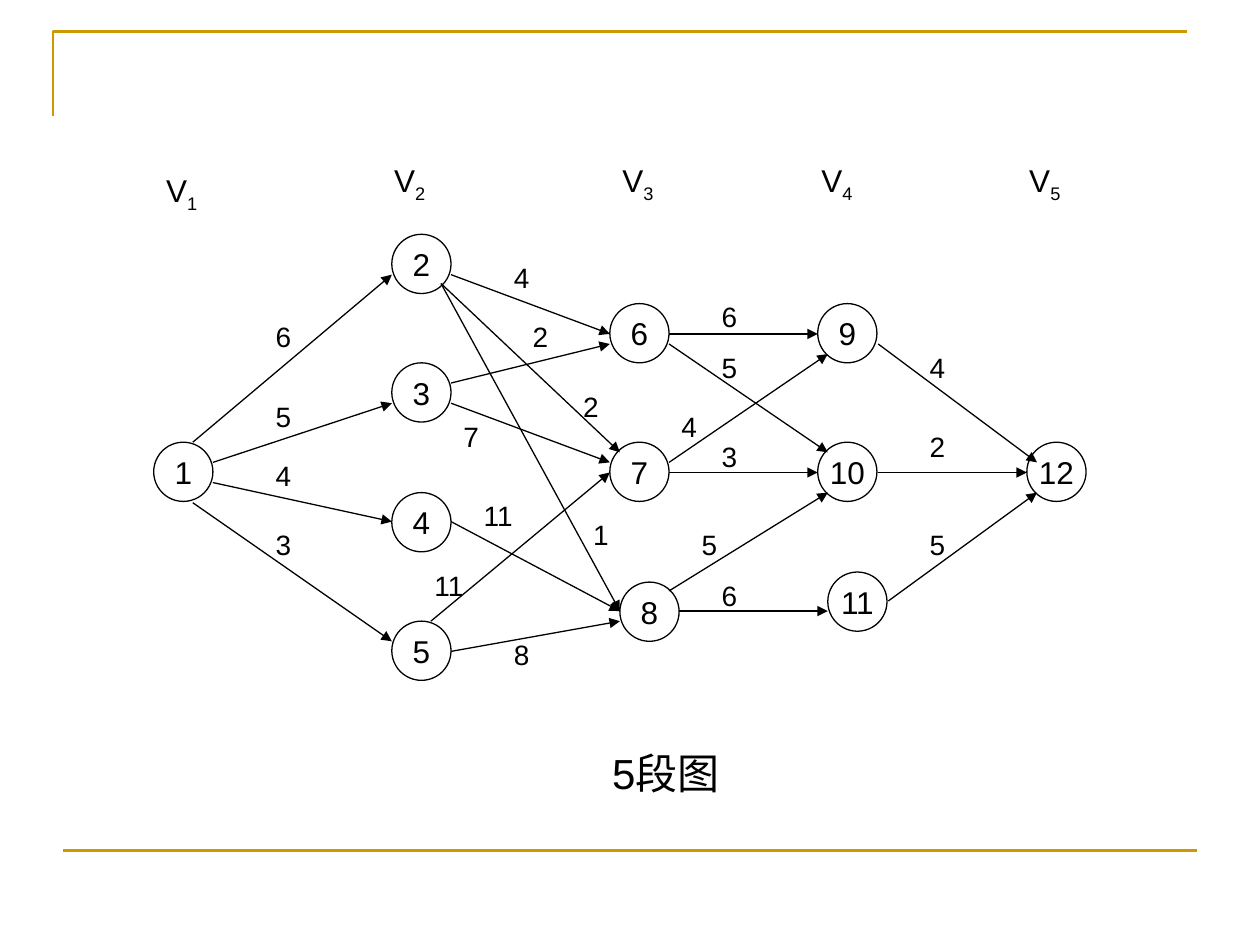
import pptx
import pptx.dml.color
import pptx.enum.shapes
import pptx.enum.text
import pptx.oxml.ns
import pptx.util
from lxml import etree
from pptx.util import Inches, Pt

BLACK = "000000"
GOLD = "CC9900"
NODE_SIZE = 0.47

# name: (left, top)
NODES = {
    "1": (1.22, 3.51),
    "2": (3.11, 1.86), "3": (3.11, 2.88), "4": (3.11, 3.91), "5": (3.11, 4.93),
    "6": (4.84, 2.41), "7": (4.84, 3.51), "8": (4.92, 4.62),
    "9": (6.49, 2.41), "10": (6.49, 3.51), "11": (6.57, 4.54),
    "12": (8.15, 3.51),
}

# start, end, weight, left and top of the weight label
EDGES = [
    ((1.53, 3.51), (3.11, 2.18), "6", (2.09, 2.49)),
    ((1.69, 3.67), (3.11, 3.20), "5", (2.09, 3.12)),
    ((1.69, 3.83), (3.11, 4.14), "4", (2.09, 3.59)),
    ((1.53, 3.99), (3.11, 5.09), "3", (2.09, 4.14)),
    ((3.50, 2.25), (4.92, 4.85), "1", (4.61, 4.06)),
    ((3.50, 2.25), (4.92, 3.59), "2", (4.53, 3.04)),
    ((3.58, 2.18), (4.84, 2.65), "4", (3.98, 2.02)),
    ((3.58, 3.04), (4.84, 2.73), "2", (4.13, 2.49)),
    ((3.58, 3.20), (4.84, 3.67), "7", (3.58, 3.28)),
    ((3.58, 4.14), (4.92, 4.85), "11", (3.74, 3.91)),
    ((3.42, 4.93), (4.84, 3.75), "11", (3.35, 4.46)),
    ((3.58, 5.17), (4.92, 4.93), "8", (3.98, 5.01)),
    ((5.31, 2.65), (6.49, 2.65), "6", (5.63, 2.33)),
    ((5.31, 2.73), (6.57, 3.59), "5", (5.63, 2.73)),
    ((5.31, 3.67), (6.57, 2.81), "4", (5.31, 3.20)),
    ((5.31, 3.75), (6.49, 3.75), "3", (5.63, 3.44)),
    ((5.31, 4.69), (6.57, 3.91), "5", (5.47, 4.14)),
    ((5.39, 4.85), (6.57, 4.85), "6", (5.63, 4.54)),
    ((6.97, 2.73), (8.23, 3.67), "4", (7.28, 2.73)),
    ((6.97, 3.75), (8.15, 3.75), "2", (7.28, 3.36)),
    ((7.05, 4.77), (8.23, 3.91), "5", (7.28, 4.14)),
]

STAGES = [(1.22, 1.31), (3.03, 1.23), (4.84, 1.23), (6.42, 1.23), (8.07, 1.23)]


def color(value):
    return pptx.dml.color.RGBColor.from_string(value)


def style_line(line, value, width):
    line.color.rgb = color(value)
    line.width = Pt(width)


def style_text(paragraph, size):
    paragraph.font.size = Pt(size)
    paragraph.font.name = "Arial"
    paragraph.font.color.rgb = color(BLACK)


def add_line(slide, start, end, value=BLACK, width=0.75, arrow=False):
    connector = slide.shapes.add_connector(
        pptx.enum.shapes.MSO_CONNECTOR.STRAIGHT,
        *(Inches(position) for position in start + end))
    style_line(connector.line, value, width)
    if arrow:
        etree.SubElement(connector.line._get_or_add_ln(),
                         pptx.oxml.ns.qn("a:tailEnd"), type="triangle")
    etree.SubElement(connector._element.spPr, pptx.oxml.ns.qn("a:effectLst"))


def add_corner(slide):
    """Draw the open frame at the top left of the slide."""
    builder = slide.shapes.build_freeform(Inches(0.42), Inches(0.92))
    builder.add_line_segments(
        [(Inches(0.42), Inches(0.25)), (Inches(9.42), Inches(0.25))], close=False)
    corner = builder.convert_to_shape()
    corner.shadow.inherit = False
    corner.fill.background()
    style_line(corner.line, GOLD, 1.5)


def add_node(slide, name, left, top):
    node = slide.shapes.add_shape(
        pptx.enum.shapes.MSO_SHAPE.OVAL,
        Inches(left), Inches(top), Inches(NODE_SIZE), Inches(NODE_SIZE))
    node.shadow.inherit = False
    node.fill.background()
    style_line(node.line, BLACK, 0.75)
    frame = node.text_frame
    frame.word_wrap = False
    frame.vertical_anchor = pptx.enum.text.MSO_ANCHOR.MIDDLE
    paragraph = frame.paragraphs[0]
    paragraph.text = name
    paragraph.alignment = pptx.enum.text.PP_ALIGN.CENTER
    style_text(paragraph, 18)


def add_label(slide, text, position, width, height, size, subscript=None):
    left, top = position
    box = slide.shapes.add_textbox(
        Inches(left), Inches(top), Inches(width), Inches(height))
    box.text_frame.word_wrap = True
    paragraph = box.text_frame.paragraphs[0]
    paragraph.text = text
    style_text(paragraph, size)
    if subscript:
        run = paragraph.add_run()
        run.text = subscript
        run.font._element.set("baseline", "-25000")


def main():
    presentation = pptx.Presentation()
    presentation.slide_width = Inches(10)
    presentation.slide_height = Inches(7.5)
    slide = presentation.slides.add_slide(presentation.slide_layouts[6])

    add_corner(slide)
    add_line(slide, (0.5, 6.75), (9.5, 6.75), GOLD, 1.5)
    for name, (left, top) in NODES.items():
        add_node(slide, name, left, top)
    for start, end, _, _ in EDGES:
        add_line(slide, start, end, arrow=True)
    for _, _, weight, position in EDGES:
        add_label(slide, weight, position, 0.47, 0.37, 16)
    for number, position in enumerate(STAGES, start=1):
        add_label(slide, "V", position, 0.55, 0.44, 18, subscript=str(number))
    add_label(slide, "5段图", (4.76, 5.88), 1.49, 0.5, 24)

    presentation.save("out.pptx")


if __name__ == "__main__":
    main()
